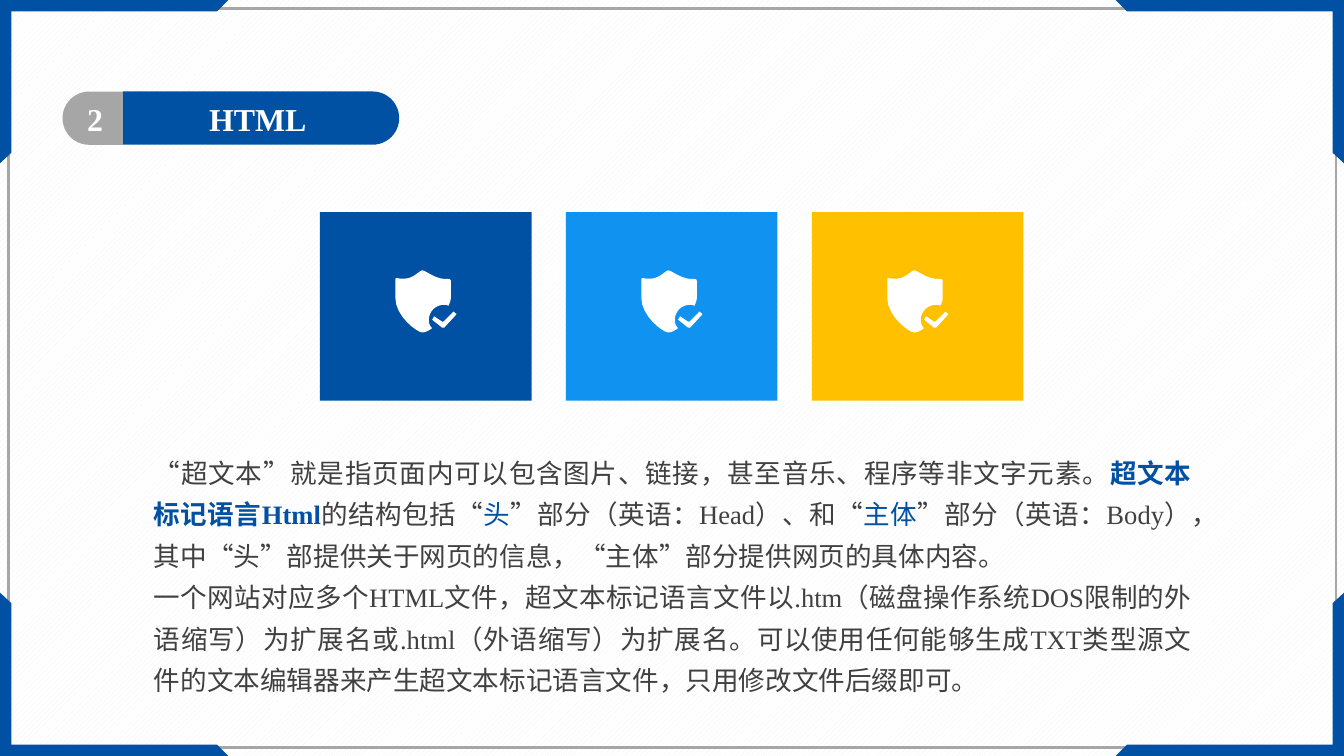
from pptx import Presentation
from pptx.dml.color import RGBColor
from pptx.enum.dml import MSO_PATTERN
from pptx.enum.shapes import MSO_SHAPE
from pptx.enum.text import MSO_ANCHOR, PP_ALIGN
from pptx.util import Inches, Pt

WIDE, HIGH = Inches(14.06), Inches(7.91)
COL, ROW = WIDE / 100, HIGH / 100
UNIT = WIDE / 1406  # step of the icon grid
FONT = "Times New Roman"
BLUE, SKY, GOLD = "0050A3", "1092F1", "FFC000"
GREY, DARK, WHITE = "A6A6A6", "404040", "FFFFFF"

# Corner bracket in columns and rows
CORNER = [(0, 0), (17, 0), (16.15, 1.5), (0.85, 1.5), (0.85, 20.2), (0, 21.6)]

# Icon outlines: a start point, then lines (2 numbers) or curves (6 numbers)
SHIELD = [
    (35, 52), (35, 43, 42, 36, 51, 36), (53, 36, 54, 36, 55, 37),
    (56, 37, 56, 36, 56, 36), (57, 34, 58, 31, 58, 29), (58, 11),
    (58, 9, 56, 9, 56, 9), (53, 9, 49, 9, 46, 8), (38, 6, 31, 0, 28, 0),
    (26, 0, 21, 6, 14, 8), (10, 9, 5, 9, 2, 8), (1, 8, 0, 8, 0, 10),
    (0, 29), (0, 48, 23, 65, 28, 65), (31, 65, 33, 64, 38, 61),
    (38, 60), (36, 58, 35, 55, 35, 52),
]
TICK = [
    (51, 60), (51, 60, 49, 60, 49, 60), (39, 52), (39, 52, 38, 51, 39, 51),
    (40, 49), (40, 48, 41, 48, 42, 49), (48, 53), (49, 54, 50, 54, 51, 53),
    (60, 44), (60, 43, 61, 43, 62, 44), (63, 45), (64, 45, 64, 46, 63, 47),
]

BODY = [
    [
        ("“超文本”就是指页面内可以包含图片、链接，甚至音乐、程序等非文字元素。", DARK, False),
        ("超文本标记语言Html", BLUE, True),
        ("的结构包括“", DARK, False),
        ("头", BLUE, False),
        ("”部分（英语：Head）、和“", DARK, False),
        ("主体", BLUE, False),
        ("”部分（英语：Body），其中“头”部提供关于网页的信息，“主体”部分提供网页的具体内容。", DARK, False),
    ],
    [
        ("一个网站对应多个HTML文件，超文本标记语言文件以.htm（磁盘操作系统DOS限制的外语缩写）"
         "为扩展名或.html（外语缩写）为扩展名。可以使用任何能够生成TXT类型源文件的文本编辑器"
         "来产生超文本标记语言文件，只用修改文件后缀即可。", DARK, False),
    ],
]


def tint(hue):
    return RGBColor.from_string(hue)


def grid(left, top, wide, high):
    """Turn columns and rows into slide lengths."""
    return [round(n) for n in (left * COL, top * ROW, wide * COL, high * ROW)]


def paint(shape, hue):
    shape.shadow.inherit = False
    shape.fill.solid()
    shape.fill.fore_color.rgb = tint(hue)
    shape.line.fill.background()


def block(slide, place, hue):
    shape = slide.shapes.add_shape(MSO_SHAPE.RECTANGLE, *grid(*place))
    paint(shape, hue)
    return shape


def cap(slide, place, hue, turn):
    """Draw a bar whose one end is round, facing the way it is turned."""
    left, top, wide, high = grid(*place)
    shift = (wide - high) // 2
    shape = slide.shapes.add_shape(
        MSO_SHAPE.ROUND_2_SAME_RECTANGLE, left + shift, top - shift, high, wide)
    shape.adjustments[0] = 0.5
    shape.rotation = turn
    paint(shape, hue)


def outline(slide, points, hue):
    pen = slide.shapes.build_freeform(*points[0], scale=1.0)
    pen.add_line_segments(points[1:], close=True)
    paint(pen.convert_to_shape(), hue)


def trace(path, steps=8):
    """Flatten the lines and cubic curves of a path into points."""
    points = [path[0]]
    for part in path[1:]:
        if len(part) == 2:
            points.append(part)
            continue
        ends = [points[-1], part[:2], part[2:4], part[4:]]
        for step in range(1, steps + 1):
            t = step / steps
            u = 1 - t
            rates = (u ** 3, 3 * u * u * t, 3 * u * t * t, t ** 3)
            points.append(tuple(
                sum(r * end[axis] for r, end in zip(rates, ends))
                for axis in (0, 1)))
    return points


def tile(slide, left, hue):
    shape = block(slide, (left, 28.05, 15.75, 24.95), hue)
    for path in (SHIELD, TICK):
        points = [(shape.left + (79 + x) * UNIT, shape.top + (61 + y) * UNIT)
                  for x, y in trace(path)]
        outline(slide, points, WHITE)


def frame(slide):
    rim = block(slide, (0.65, 1.15, 98.75, 97.7), WHITE)
    rim.fill.background()
    rim.line.color.rgb = tint(GREY)
    rim.line.width = Pt(2)
    for right in (False, True):
        for low in (False, True):
            points = [((100 - x if right else x) * COL,
                       (100 - y if low else y) * ROW) for x, y in CORNER]
            outline(slide, points, BLUE)


def label(shape, place, words):
    shape.left, shape.top, shape.width, shape.height = grid(*place)
    text = shape.text_frame
    text.word_wrap = True
    text.vertical_anchor = MSO_ANCHOR.TOP
    text.margin_left = text.margin_right = Inches(0.15)
    text.margin_top = text.margin_bottom = Inches(0.08)
    text.text = words
    para = text.paragraphs[0]
    para.alignment = PP_ALIGN.CENTER
    para.font.name, para.font.size, para.font.bold = FONT, Pt(24), True
    para.font.color.rgb = tint(WHITE)


def prose(slide, place, paras):
    text = slide.shapes.add_textbox(*grid(*place)).text_frame
    text.word_wrap = True
    for i, parts in enumerate(paras):
        para = text.add_paragraph() if i else text.paragraphs[0]
        para.alignment = PP_ALIGN.JUSTIFY
        para.line_spacing = 1.3
        para.font.name, para.font.size = FONT, Pt(20)
        for words, hue, bold in parts:
            run = para.add_run()
            run.text = words
            run.font.color.rgb = tint(hue)
            run.font.bold = bold


def header(slide):
    cap(slide, (9.15, 12.1, 20.55, 7.05), BLUE, 90)
    cap(slide, (4.65, 12.1, 4.5, 7.05), GREY, 270)
    title = slide.shapes.title
    tree = slide.shapes._spTree
    tree.append(title._element)  # bring the title above its bar
    label(title, (9.6, 12.15, 19.15, 7.1), "HTML")
    number = slide.shapes.add_textbox(0, 0, 0, 0)
    label(number, (4.95, 12.15, 4.25, 7.1), "2")


def main():
    deck = Presentation()
    deck.slide_width, deck.slide_height = WIDE, HIGH
    slide = deck.slides.add_slide(deck.slide_layouts[5])
    back = slide.background.fill
    back.patterned()
    back.pattern = MSO_PATTERN.WIDE_UPWARD_DIAGONAL
    back.fore_color.rgb = tint("F2F2F2")
    back.back_color.rgb = tint(WHITE)
    frame(slide)
    for i, hue in enumerate((BLUE, SKY, GOLD)):
        tile(slide, 23.8 + 18.3 * i, hue)
    prose(slide, (10.75, 58.55, 78.6, 40.8), BODY)
    header(slide)
    deck.save("out.pptx")


if __name__ == "__main__":
    main()
